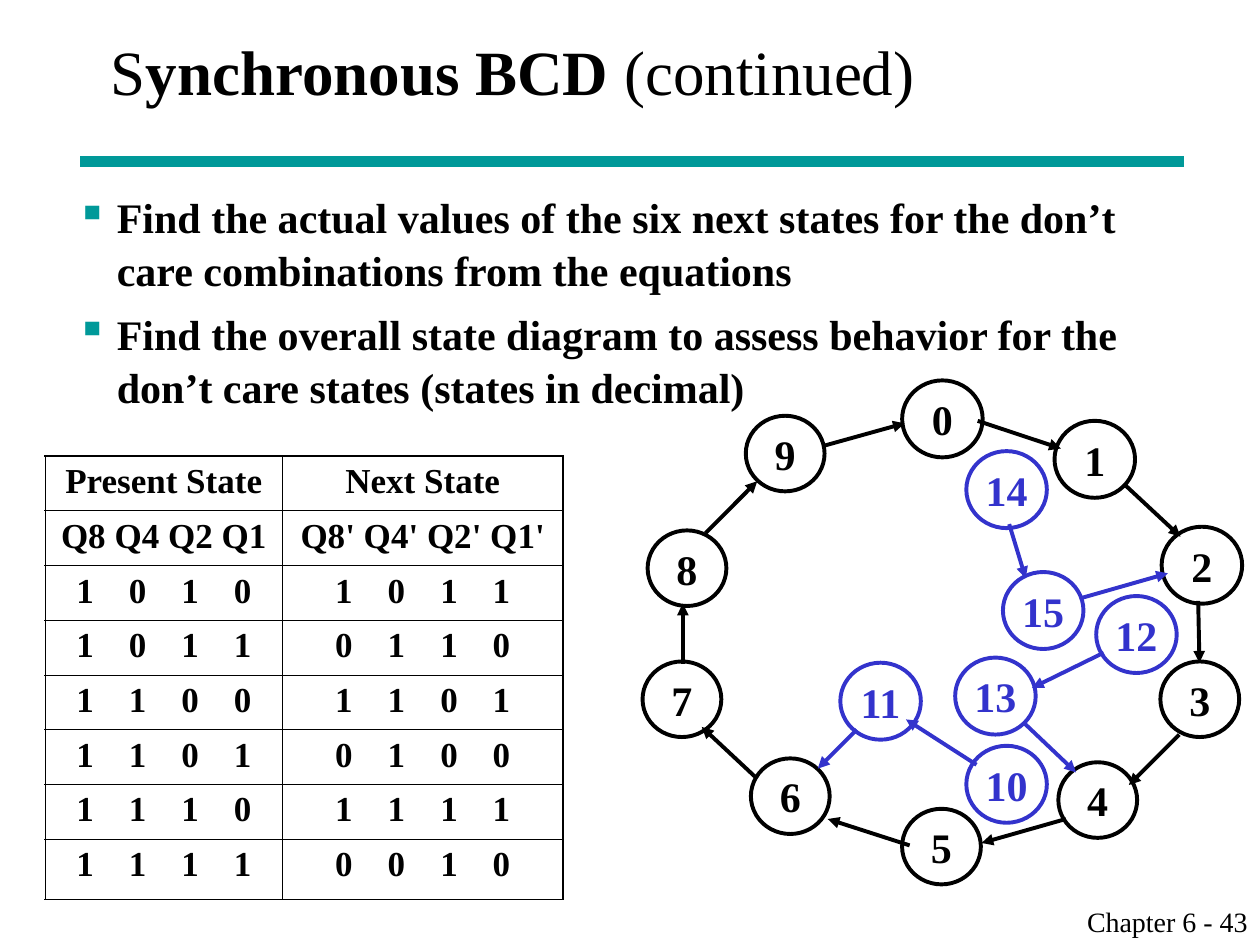
from lxml.etree import SubElement
from pptx import Presentation
from pptx.dml.color import RGBColor
from pptx.enum.shapes import MSO_CONNECTOR as Connector, MSO_SHAPE as Shape
from pptx.enum.text import MSO_ANCHOR as Anchor, PP_ALIGN as Align
from pptx.oxml.ns import qn
from pptx.util import Pt

COLORS = {"ink": "000000", "teal": "009999", "blue": "3333CC"}


def style(paragraph, size, bold=False, color="ink"):
    font = paragraph.font
    font.name = "Times New Roman"
    font.size = Pt(size)
    font.bold = bold
    font.color.rgb = RGBColor.from_string(COLORS[color])


def draw_line(start, end, color, width):
    line = slide.shapes.add_connector(Connector.STRAIGHT, *map(Pt, start + end))
    line.line.color.rgb = RGBColor.from_string(COLORS[color])
    line.line.width = Pt(width)
    SubElement(line._element.spPr, qn("a:effectLst"))
    return line


presentation = Presentation()
presentation.slide_width = Pt(720)
presentation.slide_height = Pt(540)
slide = presentation.slides.add_slide(presentation.slide_layouts[6])

draw_line((46, 92.2), (676.8, 92.2), "teal", 6)

footer = slide.shapes.add_textbox(Pt(545.8), Pt(513.4), Pt(174.2), Pt(26.6)).text_frame
footer.word_wrap = True
footer.text = "Chapter 6 - 43"
footer.paragraphs[0].alignment = Align.RIGHT
style(footer.paragraphs[0], 16)

title = slide.shapes.add_textbox(Pt(56.2), Pt(0), Pt(612), Pt(80.6)).text_frame
title.word_wrap = True
title.vertical_anchor = Anchor.MIDDLE
heading = title.paragraphs[0]
for part, bold in [("S", False), ("ynchronous BCD", True), (" (continued)", False)]:
    run = heading.add_run()
    run.text = part
    run.font.bold = bold
style(heading, 36)

tasks = [
    "Find the actual values of the six next states for the don’t care combinations from the equations",
    "Find the overall state diagram to assess behavior for the don’t care states (states in decimal)",
]
body = slide.shapes.add_textbox(Pt(36.7), Pt(104.7), Pt(612), Pt(396)).text_frame
body.word_wrap = True
for index, task in enumerate(tasks):
    paragraph = body.paragraphs[0] if index == 0 else body.add_paragraph()
    paragraph.text = task
    paragraph.line_spacing = 1.05
    if index:
        paragraph.space_before = Pt(6)
    properties = paragraph._p.get_or_add_pPr()
    properties.set("marL", str(Pt(23)))
    properties.set("indent", str(Pt(-23)))
    bullet_color = SubElement(properties, qn("a:buClr"))
    SubElement(bullet_color, qn("a:srgbClr"), val=COLORS["teal"])
    SubElement(properties, qn("a:buChar"), char="▪")
    style(paragraph, 24, bold=True)

next_states = {10: 11, 11: 6, 12: 13, 13: 4, 14: 15, 15: 2}
rows = [("Present State", "Next State"), ("Q8 Q4 Q2 Q1", "Q8' Q4' Q2' Q1'")]
rows += [["\t".join(f"{state:04b}") for state in pair] for pair in next_states.items()]
column_widths = [135.4, 160.6]
bit_pitch = 30
bits_width = 100
table = slide.shapes.add_table(len(rows), 2, Pt(25.9), Pt(260.6), Pt(296), Pt(253.4)).table
table.first_row = False
table.horz_banding = False
for column, width in zip(table.columns, column_widths):
    column.width = Pt(width)
last_row = len(rows) - 1
for r, row in enumerate(rows):
    table.rows[r].height = Pt(34.5 if r == last_row else 31.27)
    for c, text in enumerate(row):
        cell = table.cell(r, c)
        cell.text = text
        paragraph = cell.text_frame.paragraphs[0]
        if r < 2:
            paragraph.alignment = Align.CENTER
        else:
            cell.margin_left = Pt((column_widths[c] - bits_width) / 2)
            tabs = SubElement(paragraph._p.get_or_add_pPr(), qn("a:tabLst"))
            for stop in range(1, 4):
                SubElement(tabs, qn("a:tab"), pos=str(Pt(stop * bit_pitch)), algn="l")
        style(paragraph, 20, bold=True)
        outer_sides = {"L": c == 0, "R": c == 1, "T": r == 0, "B": r == last_row}
        cell_properties = cell._tc.get_or_add_tcPr()
        for side, outer in outer_sides.items():
            border = SubElement(cell_properties, qn(f"a:ln{side}"), w=str(Pt(1.08 if outer else 0.45)))
            border_fill = SubElement(border, qn("a:solidFill"))
            SubElement(border_fill, qn("a:srgbClr"), val=COLORS["ink"])
        cell.fill.background()

state_corners = [
    (515.5, 217.4), (602.6, 240.5), (663.8, 301), (663.1, 378),
    (604.8, 435.6), (515.5, 462.2), (429.1, 433.4), (367.2, 378),
    (370.1, 303.1), (426.2, 237.6), (552.2, 426.2), (480.2, 378.7),
    (626.4, 340.6), (545.8, 375.8), (552.2, 257.8), (573.1, 326.9),
]
for state, (left, top) in enumerate(state_corners):
    color = "ink" if state < 10 else "blue"
    width, height = (45, 43.2) if 3 <= state <= 9 else (46, 44)
    circle = slide.shapes.add_shape(Shape.OVAL, Pt(left), Pt(top), Pt(width), Pt(height))
    circle.shadow.inherit = False
    circle.fill.background()
    circle.line.color.rgb = RGBColor.from_string(COLORS[color])
    circle.line.width = Pt(2.25)
    label = circle.text_frame
    label.word_wrap = False
    label.margin_left = label.margin_right = label.margin_top = label.margin_bottom = 0
    label.vertical_anchor = Anchor.MIDDLE
    label.text = str(state)
    label.paragraphs[0].alignment = Align.CENTER
    style(label.paragraphs[0], 24, bold=True, color=color)

transitions = {
    "ink": [
        ((558.7, 240.5), (606.2, 256.3)),
        ((642.2, 276.5), (674.6, 306.7)),
        ((684.7, 343.4), (685.4, 378.7)),
        ((673.9, 419.8), (645.1, 448.6)),
        ((609.1, 468), (560.9, 481.7)),
        ((519.8, 483.1), (473, 468)),
        ((432.7, 445), (401, 415.4)),
        ((390.2, 379.4), (390.2, 344.9)),
        ((403.2, 304.6), (432.7, 275)),
        ((470.2, 254.9), (517, 241.9)),
    ],
    "blue": [
        ((558, 437), (517.7, 411.1)),
        ((489.6, 416.9), (467.3, 439.2)),
        ((630.7, 373), (589.7, 393.1)),
        ((584.6, 412.6), (614.9, 441.4)),
        ((576.7, 299.5), (586.1, 330.5)),
        ((617, 342), (667.4, 327.6)),
    ],
}
for color, arrows in transitions.items():
    for start, end in arrows:
        arrow = draw_line(start, end, color, 2.25)
        SubElement(arrow.line._get_or_add_ln(), qn("a:tailEnd"), type="triangle")

presentation.save("out.pptx")
